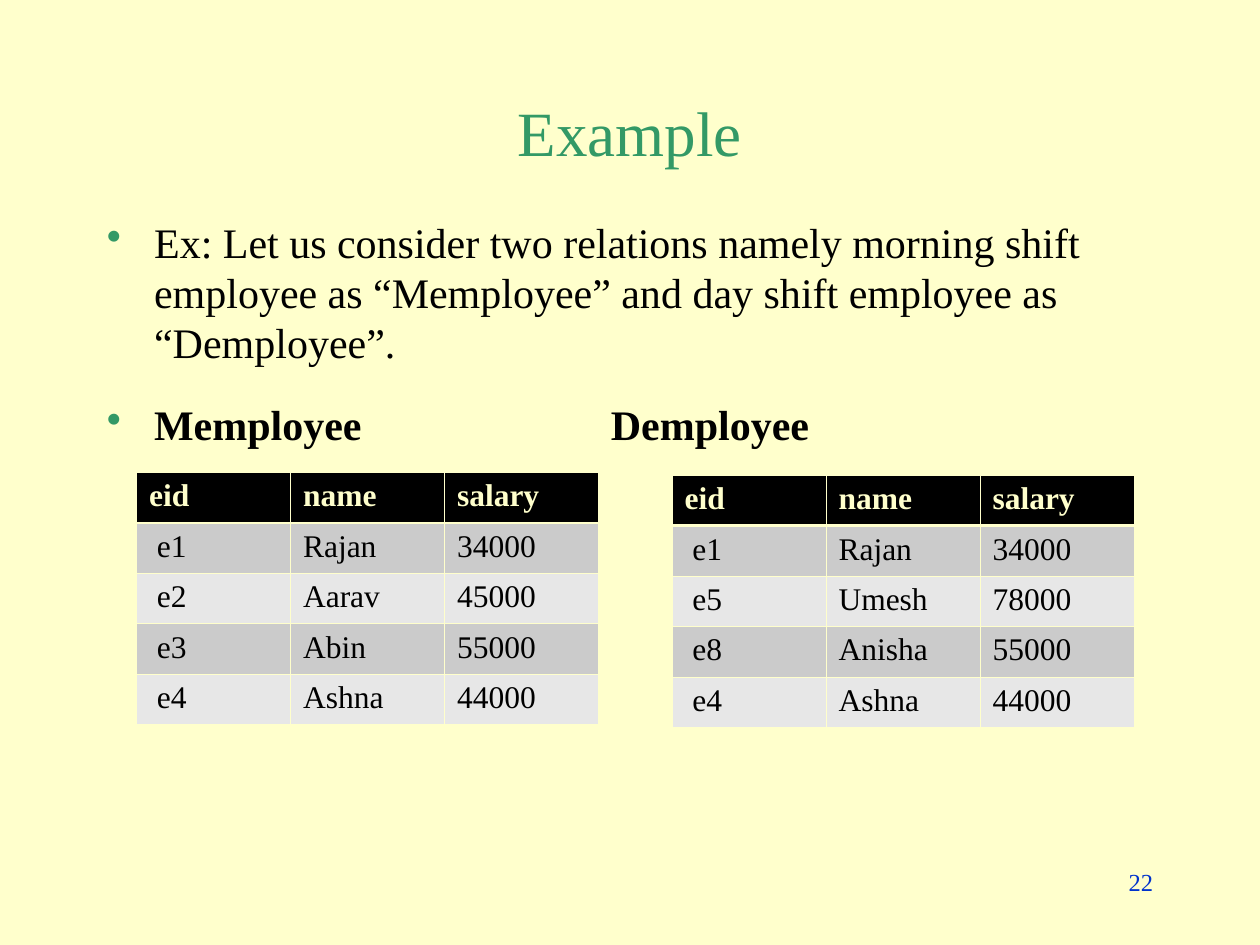
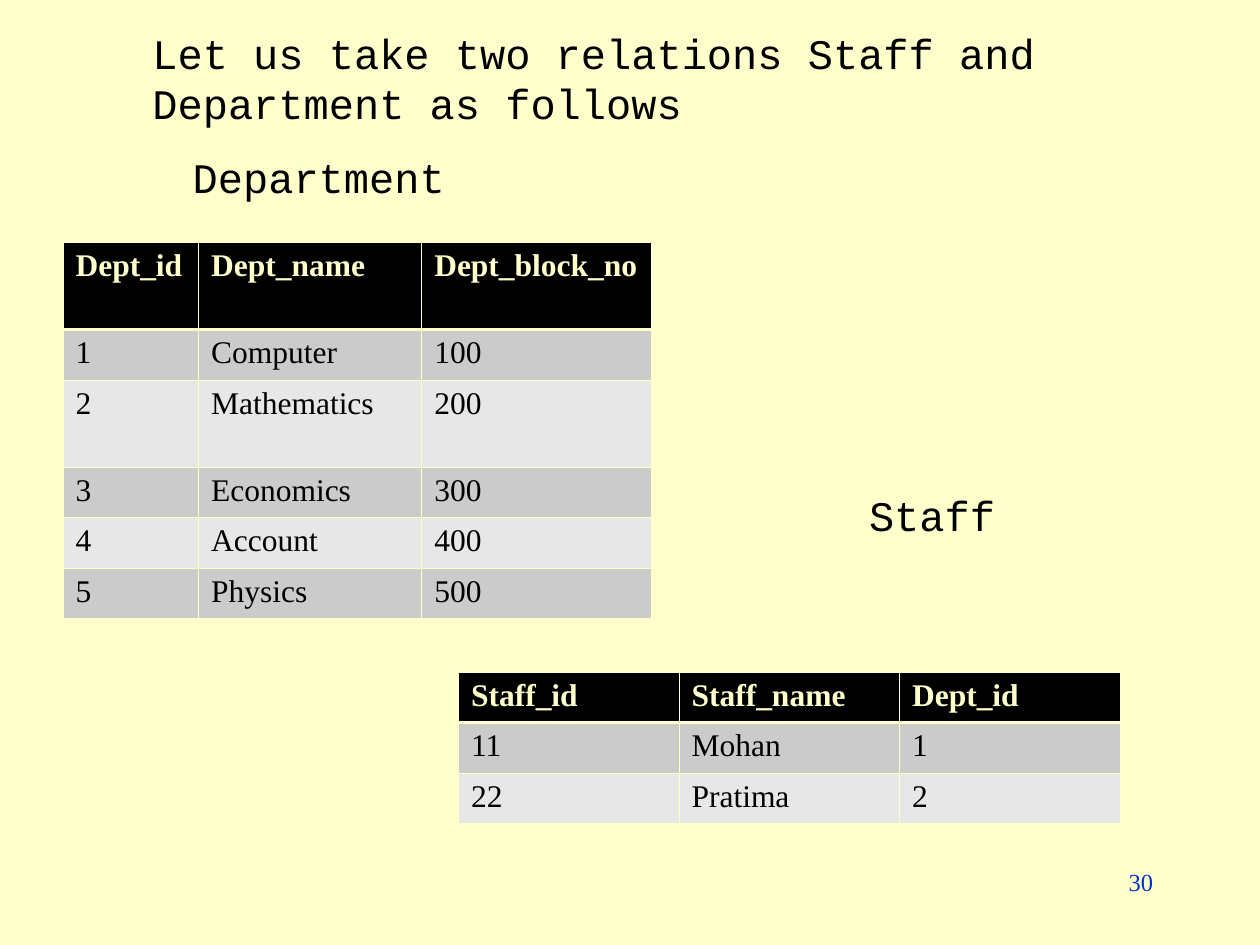
from lxml import etree
from pptx import Presentation
from pptx.dml.color import RGBColor
from pptx.enum import text
from pptx.oxml import ns
from pptx.util import Pt

CREAM = RGBColor(0xFF, 0xFF, 0xCC)
GREEN = RGBColor(0x33, 0x99, 0x66)
BLUE = RGBColor(0x00, 0x33, 0xCC)
BLACK = RGBColor(0x00, 0x00, 0x00)
DARK_BAND = RGBColor(0xCB, 0xCB, 0xCB)
LIGHT_BAND = RGBColor(0xE7, 0xE7, 0xE7)
SERIF = "Times New Roman"
MONO = "Courier New"
THIN, THICK = 0.45, 1.47
ROW, TALL_ROW = 28.8, 49.8
PITCH = 28.8


def add_child(parent, tag, **attrs):
    """Append a DrawingML element with the given attributes."""
    child = etree.SubElement(parent, ns.qn(tag))
    for name, value in attrs.items():
        child.set(name, str(value))
    return child


def write(p, words, size=24, font=SERIF, color=BLACK, bold=False,
          align=text.PP_ALIGN.LEFT, pitch=None):
    """Write one formatted run into a paragraph."""
    p.alignment = align
    if pitch:
        p.line_spacing = Pt(pitch)
    r = p.add_run()
    r.text = words
    r.font.size, r.font.name, r.font.bold = Pt(size), font, bold
    r.font.color.rgb = color


def add_text(s, box, lines, anchor=text.MSO_ANCHOR.TOP, **fmt):
    """Add a wrapped text box with one paragraph per line."""
    tf = s.shapes.add_textbox(*map(Pt, box)).text_frame
    tf.word_wrap = True
    tf.vertical_anchor = anchor
    for i, line in enumerate(lines):
        write(tf.add_paragraph() if i else tf.paragraphs[0], line, **fmt)
    return tf


def add_bullets(s, box, items):
    """Add green-bulleted paragraphs with inch tab stops from (text, bold) pairs."""
    tf = add_text(s, box, [])
    for i, (words, bold) in enumerate(items):
        p = tf.add_paragraph() if i else tf.paragraphs[0]
        pPr = p._p.get_or_add_pPr()
        pPr.set("marL", str(Pt(27)))
        pPr.set("indent", str(-Pt(27)))
        add_child(add_child(pPr, "a:buClr"), "a:srgbClr", val=GREEN)
        add_child(pPr, "a:buChar", char="•")
        tabs = add_child(pPr, "a:tabLst")
        for inch in range(1, 9):
            add_child(tabs, "a:tab", pos=Pt(72 * inch), algn="l")
        if i:
            p.space_before = Pt(18)
        write(p, words, bold=bold, pitch=PITCH)


def style_cell(cell, row, words):
    """Border, fill and label one table cell according to its row."""
    tcPr = cell._tc.get_or_add_tcPr()
    widths = {"L": THIN, "R": THIN, "T": THICK if row == 1 else THIN,
              "B": THIN if row else THICK}
    for side, width in widths.items():
        ln = add_child(tcPr, f"a:ln{side}", w=Pt(width))
        add_child(add_child(ln, "a:solidFill"), "a:srgbClr", val=CREAM)
    cell.fill.solid()
    bands = (LIGHT_BAND, DARK_BAND)
    cell.fill.fore_color.rgb = bands[row % 2] if row else BLACK
    write(cell.text_frame.paragraphs[0], words, size=18,
          color=BLACK if row else CREAM, bold=not row)


def add_relation(s, left, top, widths, rows, tall=()):
    """Add a relation as a banded table; rows listed in tall are higher."""
    heights = [TALL_ROW if i in tall else ROW for i in range(len(rows))]
    box = left, top, sum(widths), sum(heights)
    table = s.shapes.add_table(len(rows), len(widths), *map(Pt, box)).table
    for column, width in zip(table.columns, widths):
        column.width = Pt(width)
    for i, values in enumerate(rows):
        table.rows[i].height = Pt(heights[i])
        for j, words in enumerate(values):
            style_cell(table.cell(i, j), i, words)


def add_base(prs, number):
    """Add a blank cream slide with its page number."""
    s = prs.slides.add_slide(prs.slide_layouts[6])
    s.background.fill.solid()
    s.background.fill.fore_color.rgb = CREAM
    add_text(s, (516, 492, 150, 36), [number], size=14, color=BLUE,
             align=text.PP_ALIGN.RIGHT)
    return s


def employee_slide(prs):
    """Build the slide with the two employee relations."""
    s = add_base(prs, "22")
    add_text(s, (54, 48, 612, 54), ["Example"], size=36, color=GREEN,
             align=text.PP_ALIGN.CENTER, anchor=text.MSO_ANCHOR.MIDDLE)
    add_bullets(s, (54, 120, 612, 360), [
        ("Ex: Let us consider two relations namely morning shift employee as "
         "“Memployee” and day shift employee as “Demployee”.", False),
        ("Memployee\t\tDemployee", True)])
    head = ("eid", "name", "salary")
    add_relation(s, 78, 270, [88] * 3, [
        head, (" e1", "Rajan", "34000"), (" e2", "Aarav", "45000"),
        (" e3", "Abin", "55000"), (" e4", "Ashna", "44000")])
    add_relation(s, 384, 271.5, [88] * 3, [
        head, (" e1", "Rajan", "34000"), (" e5", "Umesh", "78000"),
        (" e8", "Anisha", "55000"), (" e4", "Ashna", "44000")])


def department_slide(prs):
    """Build the slide with the department and staff relations."""
    s = add_base(prs, "30")
    add_relation(s, 36, 138.5, [77.5, 127.5, 131], [
        ("Dept_id", "Dept_name", "Dept_block_no"),
        ("1", "Computer", "100"), ("2", "Mathematics", "200"),
        ("3", "Economics", "300"), ("4", "Account", "400"),
        ("5", "Physics", "500")], tall=(0, 2))
    add_relation(s, 262, 384, [126] * 3, [
        ("Staff_id", "Staff_name", "Dept_id"),
        ("11", "Mohan", "1"), ("22", "Pratima", "2")])
    for box, lines in [
            ((103, 83, 162, 36), ["Department"]),
            ((489.5, 276, 101, 36), ["Staff"]),
            ((80, 12, 533, 65), ["Let us take two relations Staff and",
                                 "Department as follows"])]:
        add_text(s, box, lines, font=MONO, pitch=PITCH)


def main():
    """Build and save the presentation."""
    prs = Presentation()
    prs.slide_width, prs.slide_height = Pt(720), Pt(540)
    employee_slide(prs)
    department_slide(prs)
    prs.save("out.pptx")


if __name__ == "__main__":
    main()
